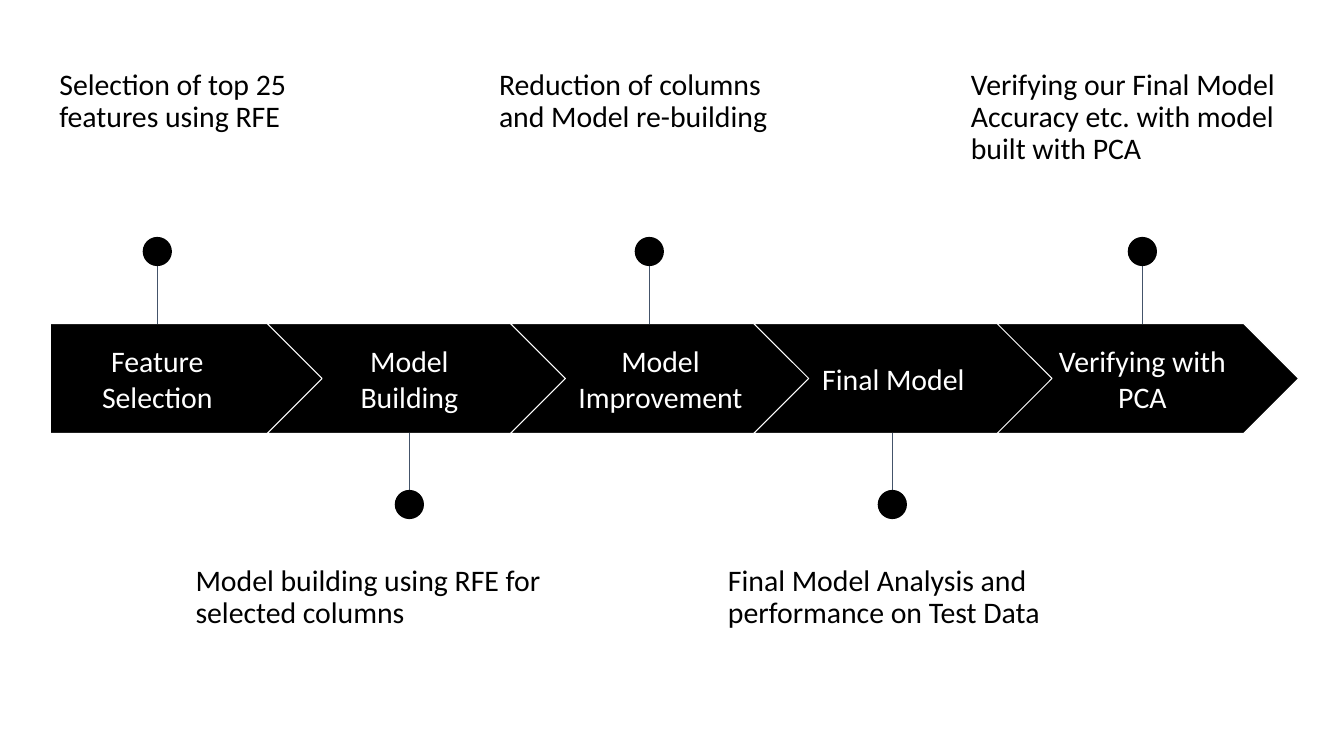
from pptx import Presentation
from pptx.dml.color import RGBColor
from pptx.enum.shapes import MSO_CONNECTOR, MSO_SHAPE
from pptx.enum.text import MSO_ANCHOR, PP_ALIGN
from pptx.oxml.ns import qn
from pptx.util import Inches, Pt

PENTAGON, CHEVRON, OVAL = MSO_SHAPE.PENTAGON, MSO_SHAPE.CHEVRON, MSO_SHAPE.OVAL
STRAIGHT = MSO_CONNECTOR.STRAIGHT
TOP, MIDDLE = MSO_ANCHOR.TOP, MSO_ANCHOR.MIDDLE
LEFT, CENTER = PP_ALIGN.LEFT, PP_ALIGN.CENTER

BLACK, WHITE, SLATE = "000000", "FFFFFF", "44546A"
BAND_TOP, BAND_HEIGHT = 3.21, 1.09
BAND_BOTTOM = BAND_TOP + BAND_HEIGHT
CHEVRON_LEFT, CHEVRON_STEP, CHEVRON_WIDTH = 2.65, 2.413, 2.99
DOT = 0.29

# Step name, label left, label width, pin centre, note, note left, note width
STEPS = [
    ("Feature Selection", 0.5, 2.12, 1.56,
     "Selection of top 25 features using RFE", 0.46, 3.27),
    ("Model Building", 3.1, 1.92, 4.06,
     "Model building using RFE for selected columns", 1.81, 4.48),
    ("Model Improvement", 5.49, 2.12, 6.44,
     "Reduction of columns and Model re-building", 4.82, 3.27),
    ("Final Model", 7.9, 1.92, 8.85,
     "Final Model Analysis and performance on Test Data", 7.09, 3.66),
    ("Verifying with PCA", 10.37, 1.92, 11.33,
     "Verifying our Final Model Accuracy etc. with model built with PCA", 9.5, 3.66),
]


def color(value):
    """Turn a hex string into a colour."""
    return RGBColor.from_string(value)


def add_text(page, text, left, top, width, height, ink, align, anchor):
    """Add a wrapped text box and return its paragraph."""
    box = page.shapes.add_textbox(Inches(left), Inches(top), Inches(width), Inches(height))
    frame = box.text_frame
    frame.word_wrap = True
    frame.vertical_anchor = anchor
    frame.margin_left = frame.margin_right = Inches(0.13)
    frame.margin_top = frame.margin_bottom = Inches(0.13)
    paragraph = frame.paragraphs[0]
    paragraph.text = text
    paragraph.alignment = align
    paragraph.font.name = "Calibri"
    paragraph.font.size = Pt(21.3)
    paragraph.font.color.rgb = color(ink)
    return paragraph


deck = Presentation()
deck.slide_width, deck.slide_height = Inches(13.33), Inches(7.5)
page = deck.slides.add_slide(deck.slide_layouts[6])

for index, (name, label_left, label_width, center, note, note_left, note_width) in enumerate(STEPS):
    # Arrow band: a pentagon first, then evenly spaced chevrons
    if index == 0:
        kind, left, width = PENTAGON, 0.5, 2.73
    else:
        kind, width = CHEVRON, CHEVRON_WIDTH
        left = CHEVRON_LEFT + (index - 1) * CHEVRON_STEP
    arrow = page.shapes.add_shape(
        kind, Inches(left), Inches(BAND_TOP), Inches(width), Inches(BAND_HEIGHT))
    arrow.shadow.inherit = False
    arrow.fill.solid()
    arrow.fill.fore_color.rgb = color(BLACK)
    arrow.line.color.rgb = color(WHITE)
    arrow.line.width = Pt(0.75)
    add_text(page, name, label_left, 3.41, label_width, 0.69, WHITE, CENTER, MIDDLE)

    # Pins and notes alternate above and below the band
    if index % 2 == 0:
        line_start, line_end, dot_top, note_top = 2.4, BAND_TOP, 2.35, 0.56
    else:
        line_start, line_end, dot_top, note_top = 5.09, BAND_BOTTOM, 4.86, 5.48
    pin = page.shapes.add_connector(
        STRAIGHT, Inches(center), Inches(line_start), Inches(center), Inches(line_end))
    pin.line.color.rgb = color(SLATE)
    pin.line.width = Pt(0.75)
    properties = pin.element.spPr
    properties.append(properties.makeelement(qn("a:effectLst"), {}))

    dot = page.shapes.add_shape(
        OVAL, Inches(center - DOT / 2), Inches(dot_top), Inches(DOT), Inches(DOT))
    dot.shadow.inherit = False
    dot.fill.solid()
    dot.fill.fore_color.rgb = color(BLACK)
    dot.line.fill.background()

    paragraph = add_text(page, note, note_left, note_top, note_width, 1.32, BLACK, LEFT, TOP)
    paragraph.line_spacing = 0.9
    paragraph.space_after = Pt(21.3)

deck.save("out.pptx")
